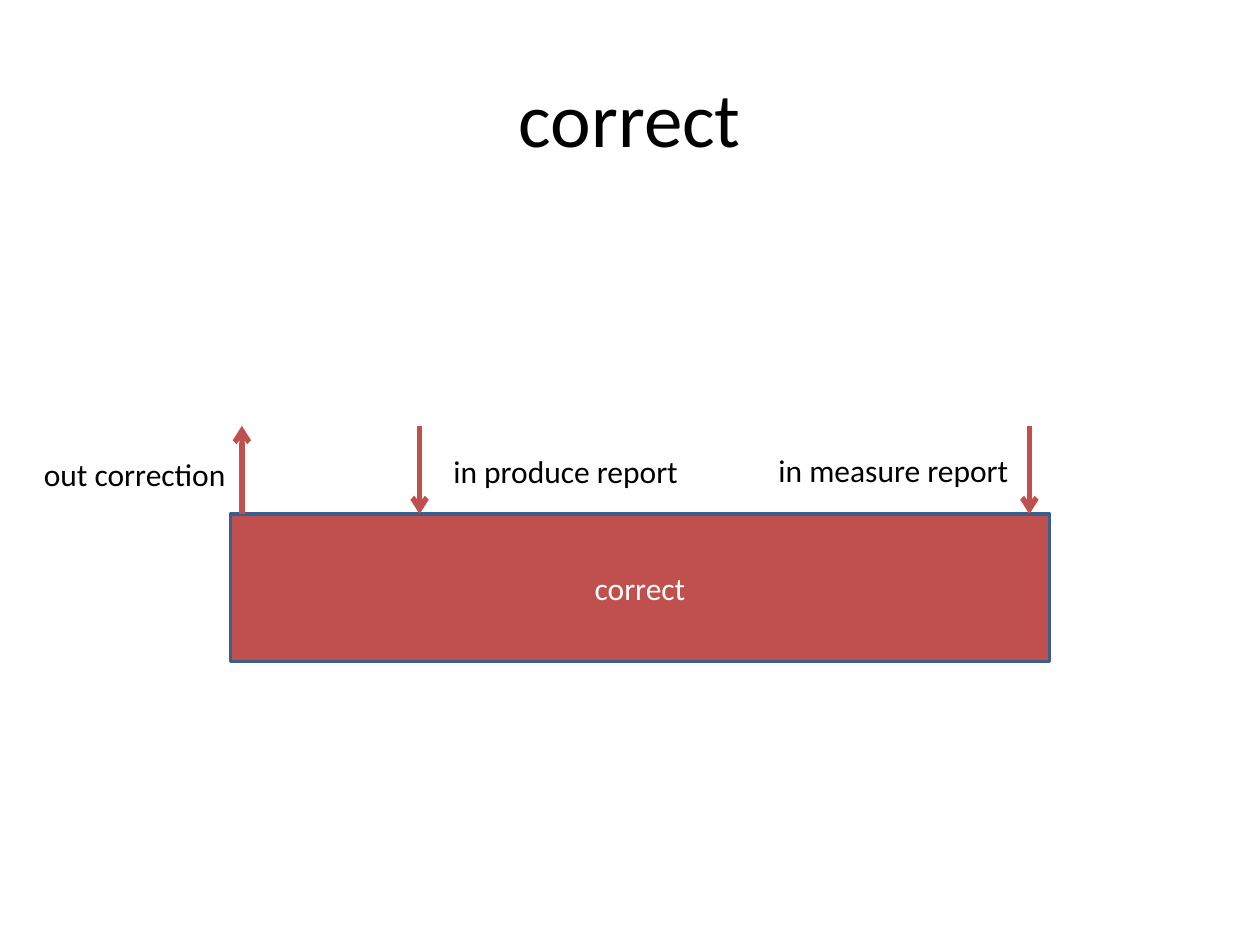
from dataclasses import dataclass

from lxml.etree import SubElement
from pptx import Presentation
from pptx.dml.color import RGBColor
from pptx.enum.shapes import MSO_CONNECTOR, MSO_SHAPE
from pptx.enum.text import MSO_ANCHOR, PP_ALIGN
from pptx.oxml.ns import qn
from pptx.util import Inches, Pt

RED = RGBColor(0xC0, 0x50, 0x4D)
BLUE = RGBColor(0x3A, 0x5F, 0x8C)
BLACK = RGBColor(0, 0, 0)
WHITE = RGBColor(255, 255, 255)
TOP, EDGE = 3.38, 4.08


@dataclass
class Port:
    """An arrow on the box and its label."""
    text: str
    x: float
    left: float
    top: float
    width: float
    out: bool = False


PORTS = [
    Port("in measure report", 8.17, 6.08, 3.53, 2.25),
    Port("in produce report", 3.33, 3.5, 3.54, 2.25),
    Port("out correction", 1.92, 0.25, 3.56, 1.67, out=True),
]


def write(shape, text: str, *, size: int = 18, color: RGBColor = BLACK,
          align=PP_ALIGN.LEFT, anchor=MSO_ANCHOR.TOP) -> None:
    """Put formatted text in a shape."""
    frame = shape.text_frame
    frame.word_wrap = True
    frame.vertical_anchor = anchor
    para = frame.paragraphs[0]
    para.alignment = align
    run = para.add_run()
    run.text = text
    run.font.name = "Calibri"
    run.font.size = Pt(size)
    run.font.color.rgb = color


def draw(shapes, port: Port) -> None:
    """Draw one arrow with its label."""
    start, end = (EDGE, TOP) if port.out else (TOP, EDGE)
    x = Inches(port.x)
    arrow = shapes.add_connector(MSO_CONNECTOR.STRAIGHT, x, Inches(start), x, Inches(end))
    arrow.line.color.rgb = RED
    arrow.line.width = Pt(3)
    SubElement(arrow.line._get_or_add_ln(), qn("a:tailEnd"), type="arrow")
    SubElement(arrow._element.spPr, qn("a:effectLst"))
    label = shapes.add_textbox(Inches(port.left), Inches(port.top),
                               Inches(port.width), Inches(0.4))
    write(label, port.text)


def main() -> None:
    """Build and save the slide."""
    deck = Presentation()
    deck.slide_width, deck.slide_height = Inches(10), Inches(7.5)
    slide = deck.slides.add_slide(deck.slide_layouts[5])
    title = slide.shapes.title
    title.left, title.top = Inches(0.5), Inches(0.3)
    title.width, title.height = Inches(9), Inches(1.25)
    write(title, "correct", size=44, align=PP_ALIGN.CENTER, anchor=MSO_ANCHOR.MIDDLE)

    group = slide.shapes.add_group_shape()
    box = group.shapes.add_shape(MSO_SHAPE.RECTANGLE, Inches(1.83), Inches(EDGE),
                                 Inches(6.5), Inches(1.17))
    box.shadow.inherit = False
    box.fill.solid()
    box.fill.fore_color.rgb = RED
    box.line.color.rgb = BLUE
    box.line.width = Pt(2)
    write(box, "correct", color=WHITE, align=PP_ALIGN.CENTER, anchor=MSO_ANCHOR.MIDDLE)
    for port in PORTS:
        draw(group.shapes, port)
    deck.save("out.pptx")


main()
